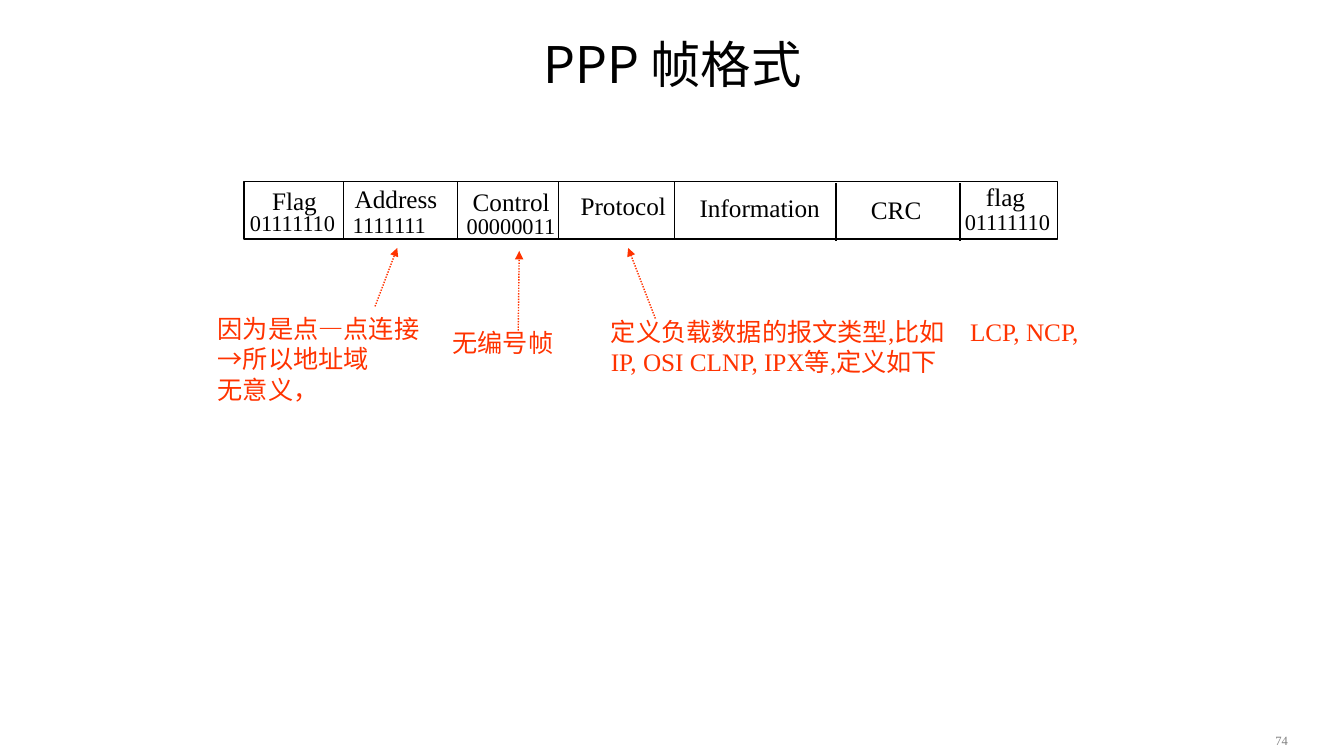
from lxml import etree
from pptx import Presentation
from pptx.dml.color import RGBColor
from pptx.enum.dml import MSO_LINE
from pptx.enum.shapes import MSO_CONNECTOR, MSO_SHAPE
from pptx.enum.text import MSO_ANCHOR, MSO_AUTO_SIZE, PP_ALIGN
from pptx.oxml.ns import qn
from pptx.util import Inches, Pt

STRAIGHT = MSO_CONNECTOR.STRAIGHT
RECTANGLE = MSO_SHAPE.RECTANGLE
DOTTED = MSO_LINE.ROUND_DOT
TOP, MIDDLE, BOTTOM = MSO_ANCHOR.TOP, MSO_ANCHOR.MIDDLE, MSO_ANCHOR.BOTTOM
LEFT, CENTER = PP_ALIGN.LEFT, PP_ALIGN.CENTER
GROW, FIXED = MSO_AUTO_SIZE.SHAPE_TO_FIT_TEXT, MSO_AUTO_SIZE.NONE

BLACK = RGBColor(0x00, 0x00, 0x00)
RED = RGBColor(0xFF, 0x33, 0x00)
GRAY = RGBColor(0x80, 0x80, 0x80)
SERIF = "Times New Roman"
SANS = "Noto Sans CJK SC"

FRAME_TOP, FRAME_HEIGHT = 1.8, 0.57

# x and top of each divider between the fields
DIVIDERS = [(3.41, FRAME_TOP), (4.54, FRAME_TOP), (5.54, FRAME_TOP),
            (6.69, FRAME_TOP), (8.29, 1.82), (9.52, 1.82)]

FIELD_NAMES = [
    ("Flag", 2.6, 1.79, 0.65), ("Address", 3.42, 1.77, 1.03),
    ("Control", 4.59, 1.8, 0.97), ("Protocol", 5.66, 1.84, 1.06),
    ("Information", 6.84, 1.86, 1.41), ("CRC", 8.54, 1.88, 0.7),
    ("flag", 9.68, 1.75, 0.59),
]
FIELD_BITS = [
    ("01111110", 2.38, 2.03, 1.09), ("1111111", 3.4, 2.05, 0.94),
    ("00000011", 4.53, 2.06, 1.09), ("01111110", 9.47, 2.02, 1.09),
]

# lines, box, wrap, arrow start, arrow end
NOTES = [
    (["因为是点—点连接", "→所以地址域", "无意义，"],
     (2.06, 3.06, 2.22, 1.01), False, (3.72, 3.04), (3.94, 2.46)),
    (["无编号帧"],
     (4.39, 3.2, 1.64, 0.4), True, (5.14, 3.28), (5.15, 2.49)),
    (["定义负载数据的报文类型,比如　LCP, NCP, IP, OSI CLNP, IPX等,定义如下"],
     (5.96, 3.09, 5.15, 0.7), True, (6.5, 3.16), (6.23, 2.46)),
]


def add_text(slide, lines, box, size, color=BLACK, font=SERIF, wrap=False,
             anchor=TOP, align=LEFT, insets=(0.1, 0.05), auto_size=GROW):
    tf = slide.shapes.add_textbox(*map(Inches, box)).text_frame
    tf.word_wrap = wrap
    tf.auto_size = auto_size
    tf.vertical_anchor = anchor
    tf.margin_left = tf.margin_right = Inches(insets[0])
    tf.margin_top = tf.margin_bottom = Inches(insets[1])
    for i, line in enumerate(lines):
        p = tf.add_paragraph() if i else tf.paragraphs[0]
        p.alignment = align
        r = p.add_run()
        r.text = line
        r.font.name = font
        r.font.size = Pt(size)
        r.font.color.rgb = color
        east_asian = etree.SubElement(r.font._element, qn("a:ea"))
        east_asian.set("typeface", SANS)


def add_line(slide, start, end, color=BLACK):
    line = slide.shapes.add_connector(STRAIGHT, *map(Inches, start + end))
    line.line.color.rgb = color
    line.line.width = Pt(1)
    etree.SubElement(line._element.spPr, qn("a:effectLst"))
    return line


def add_dotted_arrow(slide, start, end):
    arrow = add_line(slide, start, end, RED)
    arrow.line.dash_style = DOTTED
    head = etree.SubElement(arrow.line._get_or_add_ln(), qn("a:tailEnd"))
    head.set("type", "triangle")


def add_frame(slide):
    """Draw the outline of the PPP frame and the dividers of its fields."""
    s = slide.shapes.add_shape(RECTANGLE, Inches(2.42), Inches(FRAME_TOP),
                               Inches(8.07), Inches(FRAME_HEIGHT))
    s.shadow.inherit = False
    s.fill.background()
    s.line.color.rgb = BLACK
    s.line.width = Pt(1)
    for x, top in DIVIDERS:
        add_line(slide, (x, top), (x, top + FRAME_HEIGHT))


def main():
    prs = Presentation()
    prs.slide_width, prs.slide_height = Inches(13.33), Inches(7.5)
    slide = prs.slides.add_slide(prs.slide_layouts[6])

    add_text(slide, ["PPP 帧格式"], (2.42, 0, 8.5, 1.25), 36, font=SANS,
             wrap=True, anchor=MIDDLE, align=CENTER, insets=(0.09, 0.04),
             auto_size=FIXED)
    add_frame(slide)
    for name, x, y, width in FIELD_NAMES:
        add_text(slide, [name], (x, y, width, 0.4), 18)
    for bits, x, y, width in FIELD_BITS:
        add_text(slide, [bits], (x, y, width, 0.36), 16)
    for lines, box, wrap, start, end in NOTES:
        add_dotted_arrow(slide, start, end)
        add_text(slide, lines, box, 18, RED, wrap=wrap)
    add_text(slide, ["74"], (12.56, 7.22, 0.33, 0.24), 9, GRAY,
             anchor=BOTTOM, insets=(0.09, 0.04))

    prs.save("out.pptx")


if __name__ == "__main__":
    main()
